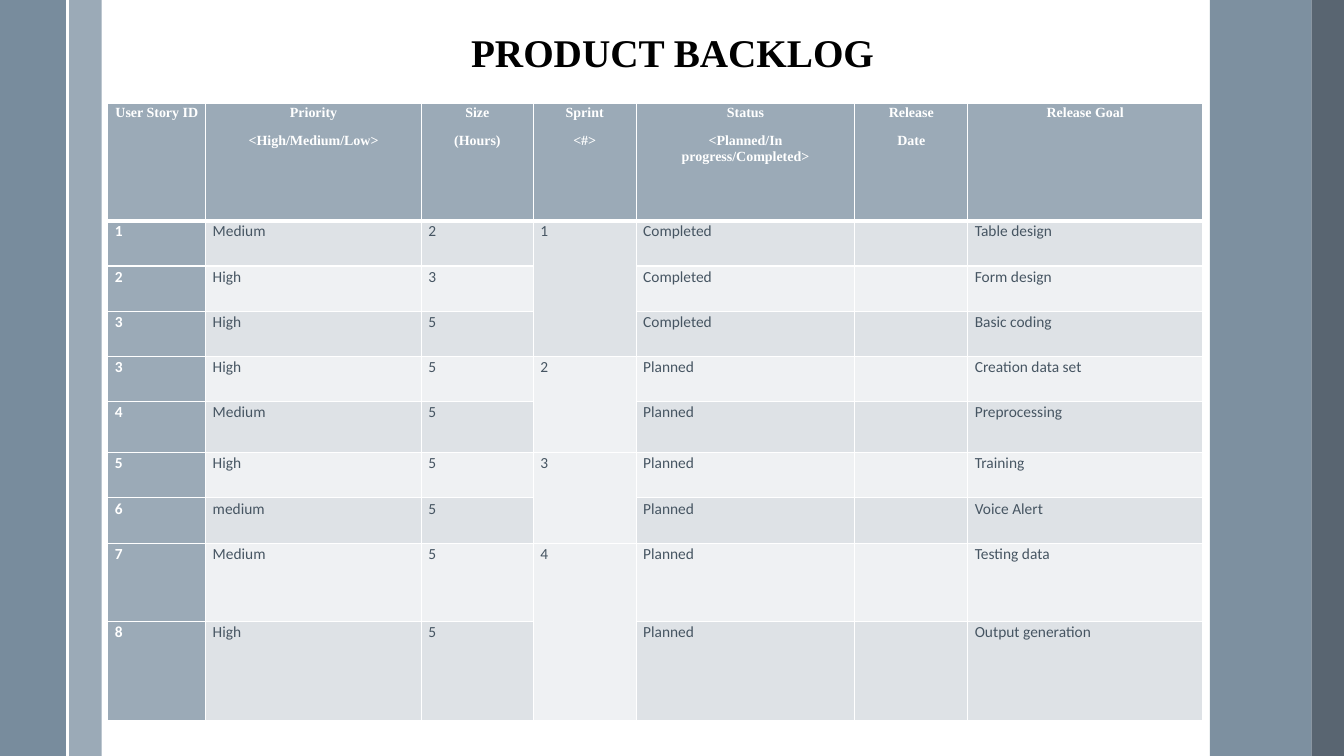
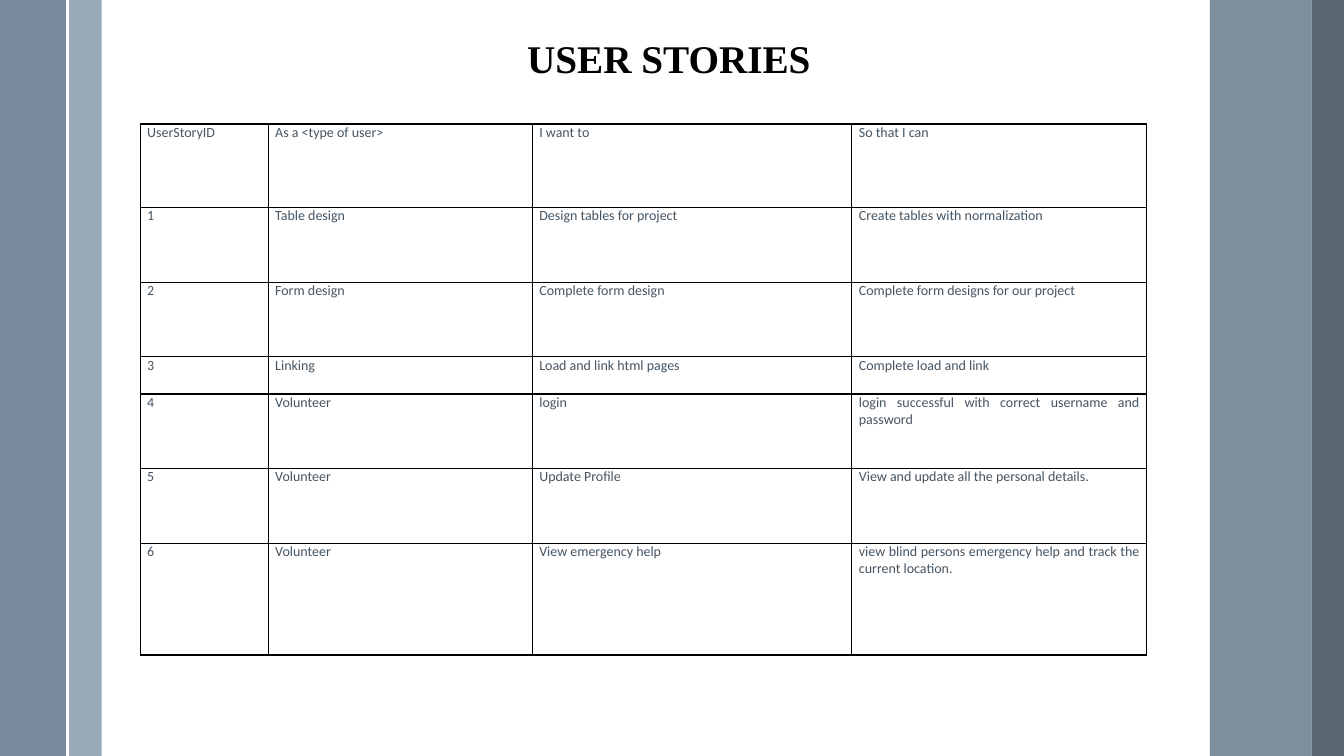
from lxml import etree
from pptx import Presentation
from pptx.dml.color import RGBColor
from pptx.enum.shapes import MSO_CONNECTOR, MSO_SHAPE
from pptx.enum.text import PP_ALIGN
from pptx.oxml.ns import qn
from pptx.util import Inches, Pt

LEFT, CENTER, JUSTIFY = PP_ALIGN.LEFT, PP_ALIGN.CENTER, PP_ALIGN.JUSTIFY
RECTANGLE, STRAIGHT = MSO_SHAPE.RECTANGLE, MSO_CONNECTOR.STRAIGHT

# Shared style
SERIF, SANS = "Times New Roman", "Calibri"
WHITE, BLACK, INK = "FFFFFF", "000000", "465562"
STEEL, SLATE, DARK = "9BAAB7", "6A8093", "475562"
STRIPES = ("DEE2E6", "EFF1F3")
SLIDE_W, SLIDE_H = 13.33, 7.5
BANDS = [  # left, width, colour, opacity in percent
    (0.68, 0.33, STEEL, 100),
    (0, 0.67, SLATE, 90),
    (12, 1.01, SLATE, 87),
    (13.01, 0.33, DARK, 90),
]
RULE_X = 0.67

# Slide 1 content: a sprint of None continues the sprint above
BACKLOG_HEAD = ["User Story ID", "Priority\n<High/Medium/Low>", "Size\n(Hours)",
                "Sprint\n<#>", "Status\n<Planned/In progress/Completed>",
                "Release\nDate", "Release Goal"]
BACKLOG = [
    ("1", "Medium", "2", "1", "Completed", "", "Table design"),
    ("2", "High", "3", None, "Completed", "", "Form design"),
    ("3", "High", "5", None, "Completed", "", "Basic coding"),
    ("3", "High", "5", "2", "Planned", "", "Creation data set"),
    ("4", "Medium", "5", None, "Planned", "", "Preprocessing"),
    ("5", "High", "5", "3", "Planned", "", "Training"),
    ("6", "medium", "5", None, "Planned", "", "Voice Alert"),
    ("7", "Medium", "5", "4", "Planned", "", "Testing data"),
    ("8", "High", "5", None, "Planned", "", "Output generation"),
]
BACKLOG_COLS = [0.97, 2.14, 1.11, 1.02, 2.17, 1.12, 2.33]
BACKLOG_ROWS = [1.16, 0.45, 0.45, 0.45, 0.44, 0.51, 0.45, 0.45, 0.78, 0.98]
SPRINT_COL = 3

# Slide 2 content
STORIES = [
    ("UserStoryID", "As a <type of user>", "I want to", "So that I can"),
    ("1", "Table design", "Design tables for project", "Create tables with normalization"),
    ("2", "Form design", "Complete form design", "Complete form designs for our project"),
    ("3", "Linking", "Load and link html pages", "Complete load and link"),
    ("4", "Volunteer", "login", "login successful with correct username and password"),
    ("5", "Volunteer", "Update Profile", "View and update all the personal details."),
    ("6", "Volunteer", "View emergency help",
     "view blind persons emergency help and track the current location."),
]
STORY_COLS = [1.27, 2.62, 3.17, 2.92]
STORY_ROWS = [0.83, 0.74, 0.74, 0.37, 0.74, 0.74, 1.11]

# Text formats
SPACED = dict(line_spacing=1.07, space_after=Pt(8))
TITLE = dict(name=SERIF, size=Pt(28), bold=True)
HEAD_TEXT = dict(name=SERIF, size=Pt(10), bold=True)
ID_TEXT = dict(name=SANS, size=Pt(11), bold=True)
BODY_TEXT = dict(name=SANS, size=Pt(11), bold=False)
STORY_TEXT = dict(name=SANS, size=Pt(10), bold=False)


def rgb(value):
    return RGBColor.from_string(value)


def apply(target, formats):
    for key, value in formats.items():
        setattr(target, key, value)


def write(frame, text, font, colour, paragraph_format):
    frame.text = text
    for paragraph in frame.paragraphs:
        apply(paragraph, paragraph_format)
        apply(paragraph.font, font)
        paragraph.font.color.rgb = rgb(colour)


def add_band(slide, left, width, colour, opacity):
    band = slide.shapes.add_shape(RECTANGLE, Inches(left), 0, Inches(width), Inches(SLIDE_H))
    band.shadow.inherit = False
    band.line.fill.background()
    band.fill.solid()
    band.fill.fore_color.rgb = rgb(colour)
    if opacity < 100:
        tint = next(band.fill._xPr.iter(qn("a:srgbClr")))
        etree.SubElement(tint, qn("a:alpha"), val=str(opacity * 1000))


def add_framed_slide(prs, title, box, align):
    slide = prs.slides.add_slide(prs.slide_layouts[6])
    for band in BANDS:
        add_band(slide, *band)
    rule = slide.shapes.add_connector(STRAIGHT, Inches(RULE_X), 0, Inches(RULE_X), Inches(SLIDE_H))
    rule.line.color.rgb = rgb(WHITE)
    rule.line.width = Pt(1.5)
    etree.SubElement(rule._element.spPr, qn("a:effectLst"))
    heading = slide.shapes.add_textbox(*map(Inches, box)).text_frame
    heading.word_wrap = True
    write(heading, title, TITLE, BLACK, dict(alignment=align))
    return slide


def add_grid(slide, left, top, cols, rows):
    table = slide.shapes.add_table(len(rows), len(cols), Inches(left), Inches(top),
                                   Inches(sum(cols)), Inches(sum(rows))).table
    table.first_row = table.horz_banding = False
    for column, width in zip(table.columns, cols):
        column.width = Inches(width)
    for row, height in zip(table.rows, rows):
        row.height = Inches(height)
    return table


def style_cell(cell, fill, border, top=1, bottom=1):
    apply(cell, dict(margin_left=Inches(0.07), margin_right=Inches(0.07),
                     margin_top=0, margin_bottom=0))
    if fill:
        cell.fill.solid()
        cell.fill.fore_color.rgb = rgb(fill)
    else:
        cell.fill.background()
    # Borders come before the fill in the cell properties
    properties = cell._tc.get_or_add_tcPr()
    sides = [("L", 1), ("R", 1), ("T", top), ("B", bottom)]
    for index, (side, width) in enumerate(sides):
        line = etree.Element(qn(f"a:ln{side}"), w=str(Pt(width)))
        solid = etree.SubElement(line, qn("a:solidFill"))
        etree.SubElement(solid, qn("a:srgbClr"), val=border)
        properties.insert(index, line)


def build_backlog(prs):
    slide = add_framed_slide(prs, "PRODUCT BACKLOG", (3.81, 0.23, 5.72, 0.57), CENTER)
    table = add_grid(slide, 1.07, 1.03, BACKLOG_COLS, BACKLOG_ROWS)
    for c, label in enumerate(BACKLOG_HEAD):
        cell = table.cell(0, c)
        style_cell(cell, STEEL, WHITE, bottom=3)
        write(cell.text_frame, label, HEAD_TEXT, WHITE, dict(SPACED, alignment=CENTER))

    sprint_fill = None
    for r, story in enumerate(BACKLOG, 1):
        stripe = STRIPES[(r - 1) % 2]
        if story[SPRINT_COL]:
            sprint_fill = stripe
        for c, text in enumerate(story):
            fill = {0: STEEL, SPRINT_COL: sprint_fill}.get(c, stripe)
            font, colour = (BODY_TEXT, INK) if c else (ID_TEXT, WHITE)
            cell = table.cell(r, c)
            style_cell(cell, fill, WHITE, top=3 if r == 1 else 1)
            write(cell.text_frame, text or "", font, colour, dict(SPACED, alignment=LEFT))

    # One merged cell per sprint
    starts = [r for r, story in enumerate(BACKLOG, 1) if story[SPRINT_COL]]
    for first, following in zip(starts, starts[1:] + [len(BACKLOG) + 1]):
        table.cell(first, SPRINT_COL).merge(table.cell(following - 1, SPRINT_COL))


def build_stories(prs):
    slide = add_framed_slide(prs, "USER STORIES", (5.13, 0.29, 3.07, 0.57), LEFT)
    table = add_grid(slide, 1.39, 1.23, STORY_COLS, STORY_ROWS)
    for r, story in enumerate(STORIES):
        for c, text in enumerate(story):
            cell = table.cell(r, c)
            style_cell(cell, None, BLACK)
            write(cell.text_frame, text, STORY_TEXT, INK, dict(alignment=JUSTIFY))


def main():
    prs = Presentation()
    prs.slide_width, prs.slide_height = Inches(SLIDE_W), Inches(SLIDE_H)
    build_backlog(prs)
    build_stories(prs)
    prs.save("out.pptx")


if __name__ == "__main__":
    main()
